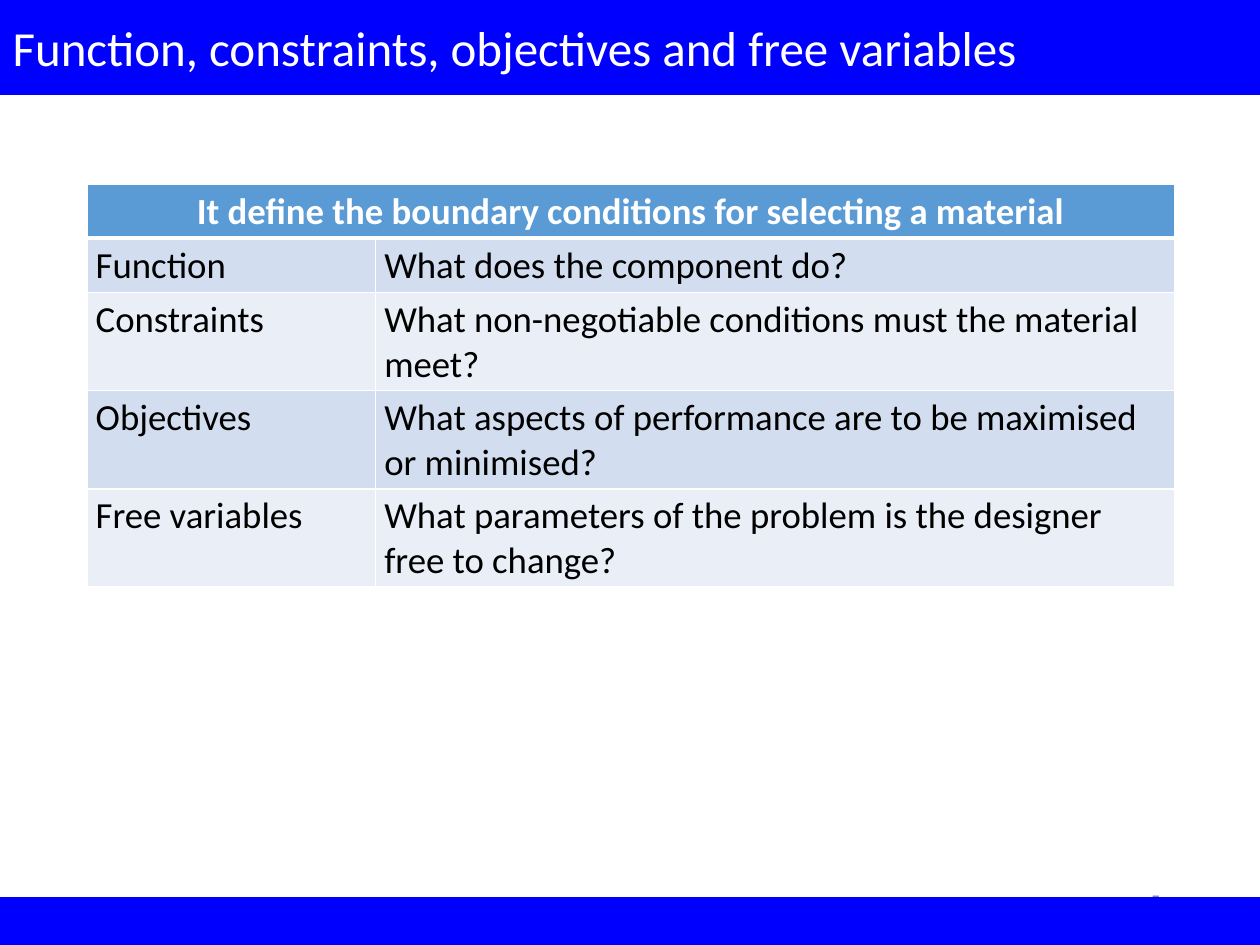
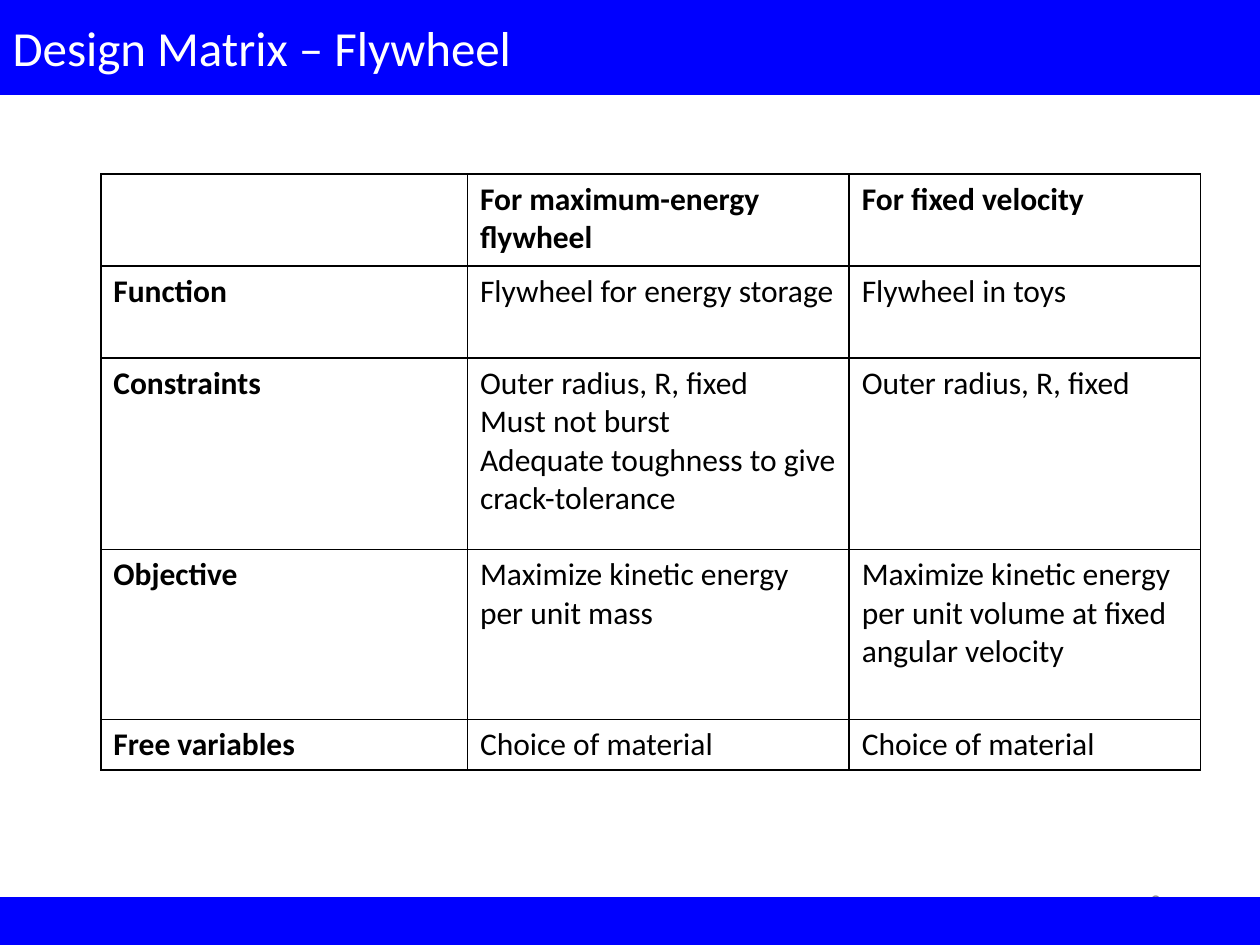
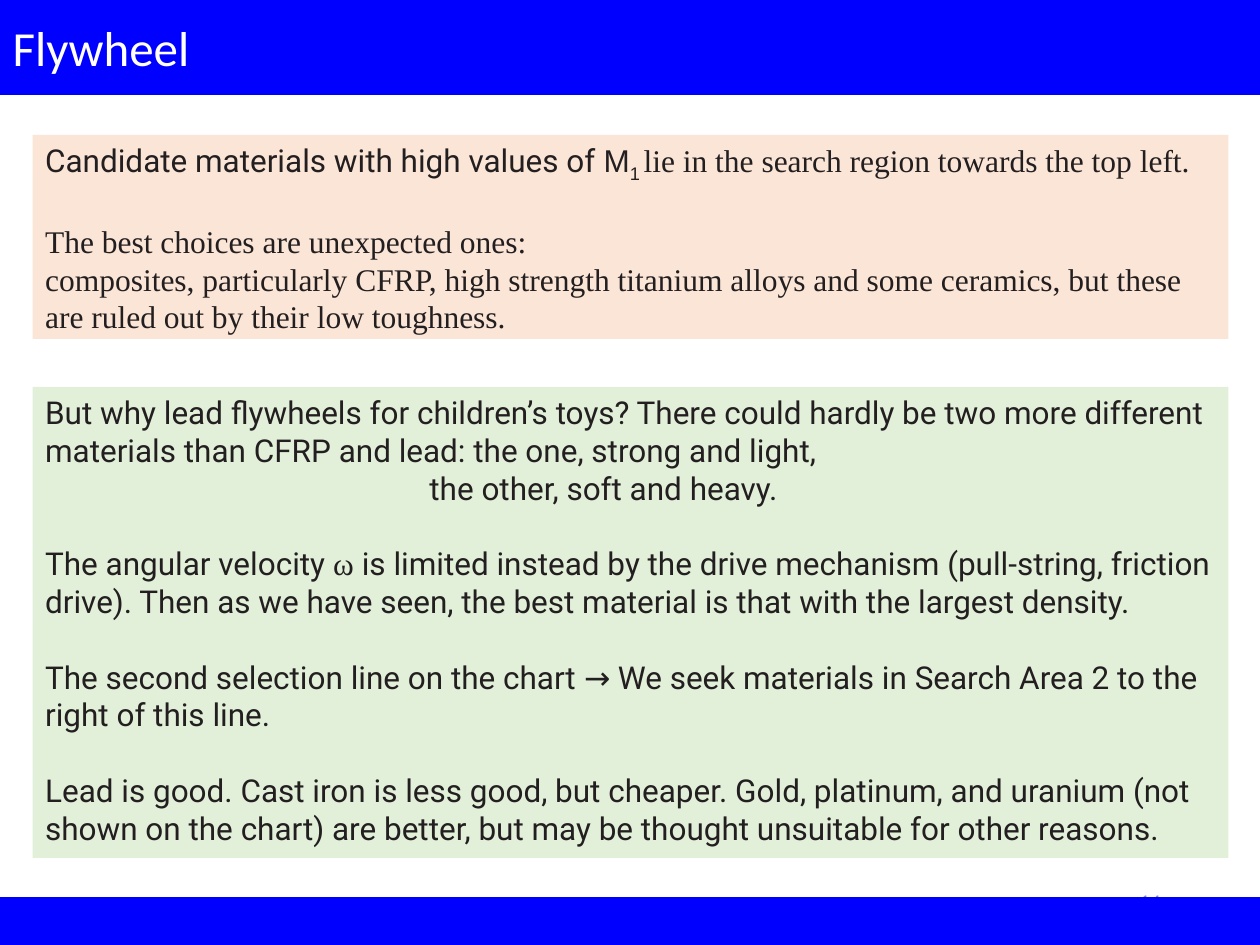
from dataclasses import dataclass

from lxml import etree
from pptx import Presentation
from pptx.dml.color import RGBColor
from pptx.enum.shapes import MSO_SHAPE
from pptx.enum.text import MSO_ANCHOR, MSO_AUTO_SIZE, PP_ALIGN
from pptx.oxml.ns import qn
from pptx.util import Inches, Pt

RECT = MSO_SHAPE.RECTANGLE
TOP, MIDDLE = MSO_ANCHOR.TOP, MSO_ANCHOR.MIDDLE
LEFT, CENTER, RIGHT = PP_ALIGN.LEFT, PP_ALIGN.CENTER, PP_ALIGN.RIGHT
TITLE_ONLY = 5


@dataclass(frozen=True)
class Theme:
    band: str = "0000FF"
    white: str = "FFFFFF"
    black: str = "000000"
    ink: str = "231F20"
    grey: str = "8C8C8C"
    header: str = "5B9BD5"
    stripes: tuple = ("EAEFF7", "D2DEEF")
    peach: str = "FBE5D6"
    green: str = "E2F0D9"
    sans: str = "Calibri"
    body: str = "Roboto"
    symbol: str = "Arial"
    serif: str = "Times New Roman"
    title_size: float = 28
    table_size: float = 21
    body_size: float = 18
    number_size: float = 12
    thin_size: float = 8
    body_gap: float = 21.6


T = Theme()


def style(p, size, color, font=T.sans, bold=False, align=LEFT):
    p.alignment = align
    for r in p.runs:
        r.font.size, r.font.name, r.font.bold = Pt(size), font, bold
        r.font.color.rgb = RGBColor.from_string(color)


def add_grid(slide, rows, left, top, col_widths, row_heights, border):
    """Add a plain table whose cells all have a 1 pt border."""
    table = slide.shapes.add_table(
        len(rows), len(col_widths), Inches(left), Inches(top),
        Inches(sum(col_widths)), Inches(sum(row_heights))).table
    table.first_row = table.horz_banding = False
    for column, width in zip(table.columns, col_widths):
        column.width = Inches(width)
    for row, height, texts in zip(table.rows, row_heights, rows):
        row.height = Inches(height)
        for cell, text in zip(row.cells, texts):
            cell.text = text
            tcPr = cell._tc.get_or_add_tcPr()
            for side in ("lnL", "lnR", "lnT", "lnB"):
                ln = etree.SubElement(tcPr, qn(f"a:{side}"), w=str(Pt(1)))
                fill = etree.SubElement(ln, qn("a:solidFill"))
                etree.SubElement(fill, qn("a:srgbClr"), val=border)
            cell.fill.background()
    return table


prs = Presentation()
prs.slide_width, prs.slide_height = Inches(10), Inches(7.5)
W, H = prs.slide_width, prs.slide_height

# Shared frame: title band, page number, footer band
slides = []
for title, number in (
    ("Function, constraints, objectives and free variables", "5"),
    ("Design Matrix – Flywheel", "9"),
    ("Flywheel", "14"),
):
    slide = prs.slides.add_slide(prs.slide_layouts[TITLE_ONLY])
    slides.append(slide)
    heading = slide.shapes.title
    heading.left, heading.top, heading.width, heading.height = 0, 0, W, int(0.1 * H)
    tf = heading.text_frame
    tf.text = title
    tf.auto_size, tf.vertical_anchor = MSO_AUTO_SIZE.NONE, MIDDLE
    style(tf.paragraphs[0], T.title_size, T.white)

    page = slide.shapes.add_textbox(Inches(7.06), Inches(6.95), Inches(2.25), Inches(0.4))
    tf = page.text_frame
    tf.text = number
    tf.word_wrap, tf.vertical_anchor = True, MIDDLE
    style(tf.paragraphs[0], T.number_size, T.grey, align=RIGHT)

    footer = slide.shapes.add_shape(RECT, 0, int(0.95 * H), W, int(0.05 * H))
    footer.shadow.inherit = False
    for band in (heading, footer):
        band.fill.solid()
        band.fill.fore_color.rgb = RGBColor.from_string(T.band)
        band.line.color.rgb = RGBColor.from_string(T.band)
        band.line.width = Pt(1)

definition_slide, matrix_slide, flywheel_slide = slides

# Boundary conditions
definitions = [
    ("It define the boundary conditions for selecting a material", ""),
    ("Function", "What does the component do?"),
    ("Constraints", "What non-negotiable conditions must the material meet?"),
    ("Objectives", "What aspects of performance are to be maximised or minimised?"),
    ("Free variables", "What parameters of the problem is the designer free to change?"),
]
table = add_grid(definition_slide, definitions, 0.69, 1.46, (2.29, 6.34),
                 (0.42, 0.42, 0.78, 0.78, 0.78), T.white)
for i, row in enumerate(table.rows):
    is_header = i == 0
    for cell in row.cells:
        cell.margin_left = cell.margin_right = Inches(0.07)
        cell.margin_top = cell.margin_bottom = Inches(0.04)
        cell.fill.solid()
        cell.fill.fore_color.rgb = RGBColor.from_string(T.header if is_header else T.stripes[i % 2])
        if is_header:
            cell._tc.tcPr.find(qn("a:lnB")).set("w", str(Pt(3)))
        style(cell.text_frame.paragraphs[0], T.table_size, T.white if is_header else T.black,
              bold=is_header, align=CENTER if is_header else LEFT)
table.cell(0, 0).merge(table.cell(0, 1))

# Design matrix
matrix = [
    ("", "For maximum-energy flywheel", "For fixed velocity"),
    ("Function", "Flywheel for energy storage", "Flywheel in toys"),
    ("Constraints",
     "Outer radius, R, fixed\nMust not burst\nAdequate toughness to give crack-tolerance",
     "Outer radius, R, fixed"),
    ("Objective", "Maximize kinetic energy per unit mass",
     "Maximize kinetic energy per unit volume at fixed angular velocity"),
    ("Free variables", "Choice of material", "Choice of material"),
]
table = add_grid(matrix_slide, matrix, 0.8, 1.38, (2.91, 3.03, 2.79),
                 (0.73, 0.73, 1.52, 1.35, 0.4), T.black)
for i, row in enumerate(table.rows):
    for j, cell in enumerate(row.cells):
        for p in cell.text_frame.paragraphs:
            style(p, T.body_size, T.black, bold=i == 0 or j == 0)

# Material choice: each paragraph is (gap before, left indent, runs of text and font)
toys = [
    (0, 0, [("But why lead flywheels for children’s toys? There could hardly be two more different "
             "materials than CFRP and lead: the one, strong and light,", T.body)]),
    (0, 3.05, [("the other, soft and heavy.", T.body)]),
    (T.body_gap, 0, [
        ("The angular velocity ", T.body), ("ω ", T.serif),
        ("is limited instead by the drive mechanism (pull-string, friction drive). Then as we "
         "have seen, the best material is that with the largest density.", T.body)]),
    (T.body_gap, 0, [("The second selection line on the chart → We seek materials in "
                      "Search Area 2 to the", T.body)]),
    (0, 0, [("right of this line.", T.body)]),
    (T.body_gap, 0, [("Lead is good. Cast iron is less good, but cheaper. Gold, platinum, and "
                      "uranium (not shown on the chart) are better, but may be thought "
                      "unsuitable for other reasons.", T.body)]),
]
candidates = [
    (0, 0, [("Candidate materials with high values of ", T.body), ("M", T.symbol),
            ("1", T.symbol), (" ", T.serif),
            ("lie in the search region towards the top left.", T.serif)]),
    (T.body_gap, 0, [("The best choices are unexpected ones:", T.serif)]),
    (0, 0, [("composites, particularly CFRP, high strength titanium alloys and some ceramics, "
             "but these are ruled out by their low toughness.", T.serif)]),
]
for top, height, color, paragraphs in (
    (3.07, 3.74, T.green, toys),
    (1.07, 1.62, T.peach, candidates),
):
    panel = flywheel_slide.shapes.add_shape(RECT, Inches(0.26), Inches(top), Inches(9.49), Inches(height))
    panel.shadow.inherit = False
    panel.fill.solid()
    panel.fill.fore_color.rgb = RGBColor.from_string(color)
    panel.line.fill.background()
    tf = panel.text_frame
    tf.word_wrap, tf.vertical_anchor = True, TOP
    for i, (gap, indent, runs) in enumerate(paragraphs):
        p = tf.add_paragraph() if i else tf.paragraphs[0]
        for text, font in runs:
            r = p.add_run()
            r.text = text
        style(p, T.body_size, T.ink)
        for r, (text, font) in zip(p.runs, runs):
            r.font.name = font
        if gap:
            p.space_before = Pt(gap)
        if indent:
            p._p.get_or_add_pPr().set("marL", str(Inches(indent)))

subscript, thin_space = tf.paragraphs[0].runs[2:4]
subscript.font._element.set("baseline", "-25000")
thin_space.font.size = Pt(T.thin_size)

prs.save("out.pptx")
